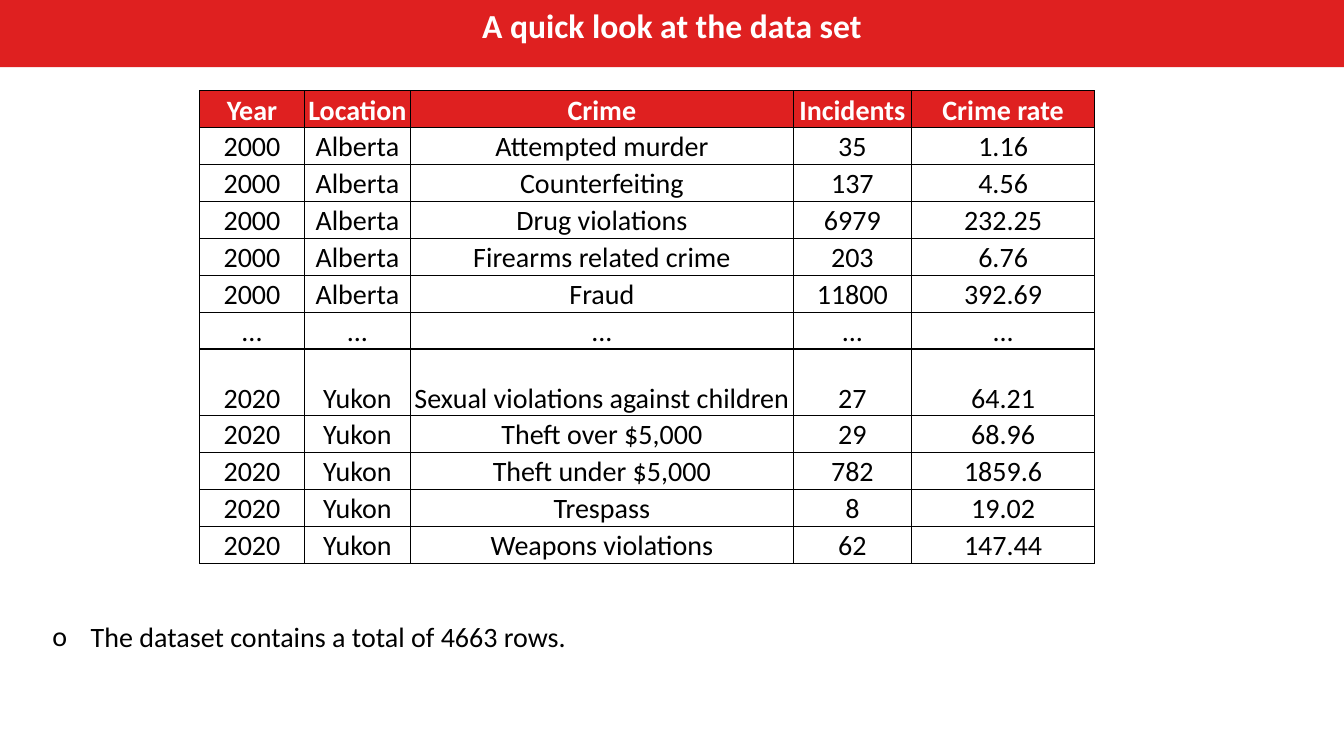
from lxml import etree
from pptx import Presentation
from pptx import util as u
from pptx.dml.color import RGBColor
from pptx.enum import text as t
from pptx.oxml.ns import qn

TITLE = "A quick look at the data set"
NOTE = "The dataset contains a total of 4663 rows."
HEADER = ("Year", "Location", "Crime", "Incidents", "Crime rate")
FIRST_RECORDS = [
    ("Attempted murder", "35", "1.16"),
    ("Counterfeiting", "137", "4.56"),
    ("Drug violations", "6979", "232.25"),
    ("Firearms related crime", "203", "6.76"),
    ("Fraud", "11800", "392.69"),
]
LAST_RECORDS = [
    ("Sexual violations against children", "27", "64.21"),
    ("Theft over $5,000", "29", "68.96"),
    ("Theft under $5,000", "782", "1859.6"),
    ("Trespass", "8", "19.02"),
    ("Weapons violations", "62", "147.44"),
]
ROWS = [
    HEADER,
    *[("2000", "Alberta", *record) for record in FIRST_RECORDS],
    ("...",) * len(HEADER),
    *[("2020", "Yukon", *record) for record in LAST_RECORDS],
]
COLORS = {"red": "DF2020", "white": "FFFFFF", "black": "000000"}
FONT = "Calibri"

SLIDE_WIDTH, SLIDE_HEIGHT = 13.33, 7.5
BAR_HEIGHT = 0.5
TABLE_LEFT, TABLE_TOP, TABLE_HEIGHT = 1.98, 0.9, 4.69
COLUMN_WIDTHS = (1.04, 1.05, 3.8, 1.17, 1.82)
TALL_ROW, TALL_HEIGHT = 7, 0.66
ROW_HEIGHT = (TABLE_HEIGHT - TALL_HEIGHT) / (len(ROWS) - 1)
NOTE_BOX = (0.42, 6.1, 11.25, 0.44)
NOTE_INDENT = 0.38


def color(name):
    return RGBColor.from_string(COLORS[name])


def place(shape, *box):
    shape.left, shape.top, shape.width, shape.height = map(u.Inches, box)


def write(text_frame, words, size, color_name, bold=False, align=t.PP_ALIGN.CENTER):
    text_frame.text = words
    paragraph = text_frame.paragraphs[0]
    paragraph.alignment = align
    paragraph.space_before = u.Pt(0)
    font = paragraph.runs[0].font
    font.name, font.size, font.bold = FONT, u.Pt(size), bold
    font.color.rgb = color(color_name)
    return paragraph


def add_borders(cell):
    properties = cell._tc.get_or_add_tcPr()
    for position, side in enumerate(("a:lnL", "a:lnR", "a:lnT", "a:lnB")):
        line = etree.Element(qn(side), w=str(u.Pt(1)))
        fill = etree.SubElement(line, qn("a:solidFill"))
        etree.SubElement(fill, qn("a:srgbClr"), val=COLORS["black"])
        properties.insert(position, line)


def add_title(slide):
    title = slide.shapes.title
    place(title, 0, 0, SLIDE_WIDTH, BAR_HEIGHT)
    title.fill.solid()
    title.fill.fore_color.rgb = color("red")
    write(title.text_frame, TITLE, 24, "white", bold=True)
    title.text_frame.vertical_anchor = t.MSO_ANCHOR.MIDDLE
    title.text_frame.auto_size = t.MSO_AUTO_SIZE.SHAPE_TO_FIT_TEXT


def add_crime_table(slide):
    frame = slide.shapes.add_table(
        len(ROWS), len(HEADER), u.Inches(TABLE_LEFT), u.Inches(TABLE_TOP),
        u.Inches(sum(COLUMN_WIDTHS)), u.Inches(TABLE_HEIGHT))
    table = frame.table
    table.horz_banding = False
    for column, width in zip(table.columns, COLUMN_WIDTHS):
        column.width = u.Inches(width)
    for r, values in enumerate(ROWS):
        table.rows[r].height = u.Inches(TALL_HEIGHT if r == TALL_ROW else ROW_HEIGHT)
        for c, value in enumerate(values):
            cell = table.cell(r, c)
            cell.margin_left = cell.margin_top = cell.margin_right = u.Inches(0.01)
            cell.margin_bottom = 0
            cell.vertical_anchor = t.MSO_ANCHOR.BOTTOM
            is_header = r == 0
            write(cell.text_frame, value, 20, "white" if is_header else "black", is_header)
            if is_header:
                cell.fill.solid()
                cell.fill.fore_color.rgb = color("red")
            else:
                cell.fill.background()
            add_borders(cell)


def add_note(slide):
    note = slide.placeholders[1]
    place(note, *NOTE_BOX)
    paragraph = write(note.text_frame, NOTE, 20, "black", align=t.PP_ALIGN.LEFT)
    note.text_frame.auto_size = t.MSO_AUTO_SIZE.SHAPE_TO_FIT_TEXT
    properties = paragraph._p.get_or_add_pPr()
    properties.set("marL", str(u.Inches(NOTE_INDENT)))
    properties.set("indent", str(u.Inches(-NOTE_INDENT)))
    etree.SubElement(properties, qn("a:buFont"), typeface=FONT)
    etree.SubElement(properties, qn("a:buChar"), char="o")


def main():
    presentation = Presentation()
    presentation.slide_width = u.Inches(SLIDE_WIDTH)
    presentation.slide_height = u.Inches(SLIDE_HEIGHT)
    slide = presentation.slides.add_slide(presentation.slide_layouts[1])
    add_crime_table(slide)
    add_title(slide)
    add_note(slide)
    presentation.save("out.pptx")


if __name__ == "__main__":
    main()
